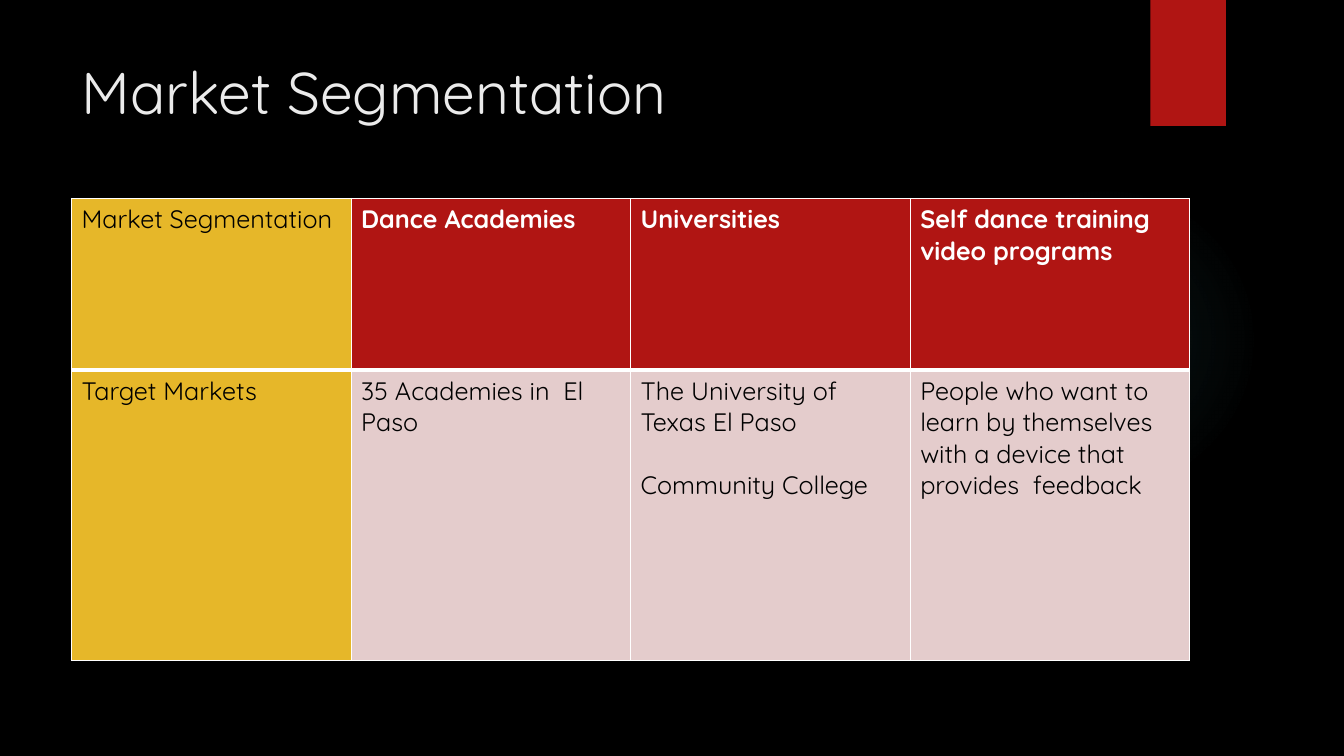
from dataclasses import dataclass

from pptx import Presentation
from pptx.dml.color import RGBColor as RGB
from pptx.enum.shapes import MSO_SHAPE as Shape
from pptx.enum.text import MSO_ANCHOR as Anchor, PP_ALIGN as Align
from pptx.oxml import parse_xml
from pptx.oxml.ns import nsdecls, qn
from pptx.util import Inches, Pt


@dataclass(frozen=True)
class Theme:
    font: str = "Quicksand"
    back: str = "000000"
    title: str = "EBEBEB"
    white: str = "FFFFFF"
    black: str = "000000"
    red: str = "B01513"
    gold: str = "E6B729"
    pink: str = "E4CCCC"
    glow: str = "50B9C1"
    head: int = 42
    body: int = 18


theme = Theme()


def style(para, size, color, bold=False):
    font = para.font
    font.name, font.size, font.bold = theme.font, Pt(size), bold
    font.color.rgb = RGB.from_string(color)
    para.alignment = Align.LEFT


def edge(cell, side, width):
    cell.get_or_add_tcPr() if hasattr(cell, "get_or_add_tcPr") else None
    cell._tc.get_or_add_tcPr().append(parse_xml(
        f'<a:ln{side} {nsdecls("a")} w="{Pt(width)}"><a:solidFill>'
        f'<a:srgbClr val="{theme.white}"/></a:solidFill></a:ln{side}>'))


# Slide and background
deck = Presentation()
deck.slide_width, deck.slide_height = Inches(13.33), Inches(7.5)
slide = deck.slides.add_slide(deck.slide_layouts[5])
slide.background.fill.solid()
slide.background.fill.fore_color.rgb = RGB.from_string(theme.back)

# Soft round glow
glow = slide.shapes.add_shape(
    Shape.OVAL, Inches(9.41), Inches(1.83), Inches(3.08), Inches(3.08))
glow.shadow.inherit = False
glow.line.fill.background()
glow.fill.background()
stops = "".join(
    f'<a:gs pos="{pos * 1000}"><a:srgbClr val="{theme.glow}">'
    f'<a:alpha val="{alpha * 1000}"/></a:srgbClr></a:gs>'
    for pos, alpha in ((0, 7), (36, 6), (69, 0), (100, 0)))
props = glow._element.spPr
props.replace(props.find(qn("a:noFill")), parse_xml(
    f'<a:gradFill {nsdecls("a")}><a:gsLst>{stops}</a:gsLst>'
    '<a:path path="circle"><a:fillToRect l="50000" t="50000" r="50000" '
    'b="50000"/></a:path></a:gradFill>'))

# Red ribbon
ribbon = slide.shapes.add_shape(
    Shape.RECTANGLE, Inches(11.41), 0, Inches(0.75), Inches(1.25))
ribbon.shadow.inherit = False
ribbon.line.fill.background()
ribbon.fill.solid()
ribbon.fill.fore_color.rgb = RGB.from_string(theme.red)

# Title
title = slide.shapes.title
title.left, title.top = Inches(0.71), Inches(0.5)
title.width, title.height = Inches(10.29), Inches(1.53)
title.text_frame.text = "Market Segmentation"
title.text_frame.vertical_anchor = Anchor.TOP
style(title.text_frame.paragraphs[0], theme.head, theme.title)

# Table of segments and their markets
rows = (
    ("Market Segmentation", "Dance Academies", "Universities",
     "Self dance training video programs"),
    ("Target Markets", "35 Academies in  El Paso",
     "The University of Texas El Paso\nCommunity College",
     "People who want to learn by themselves with a device that "
     "provides  feedback"),
)
table = slide.shapes.add_table(
    2, 4, Inches(0.71), Inches(1.97), Inches(11.09), Inches(4.58)).table
for col in table.columns:
    col.width = Inches(11.09 / 4)
for row, height in zip(table.rows, (1.7, 2.88)):
    row.height = Inches(height)

for r, texts in enumerate(rows):
    for c, text in enumerate(texts):
        cell = table.cell(r, c)
        head = r == 0 and c > 0
        fill = theme.gold if c == 0 else theme.red if head else theme.pink
        # The rule between the two rows is the thick one
        for side, width in zip("LRTB", (1, 1, 3 if r else 1, 1 if r else 3)):
            edge(cell, side, width)
        cell.fill.solid()
        cell.fill.fore_color.rgb = RGB.from_string(fill)
        cell.text = text
        for n, para in enumerate(cell.text_frame.paragraphs):
            style(para, theme.body, theme.white if head else theme.black, head)
            if n:
                para.space_before = Pt(22.5)

deck.save("out.pptx")
